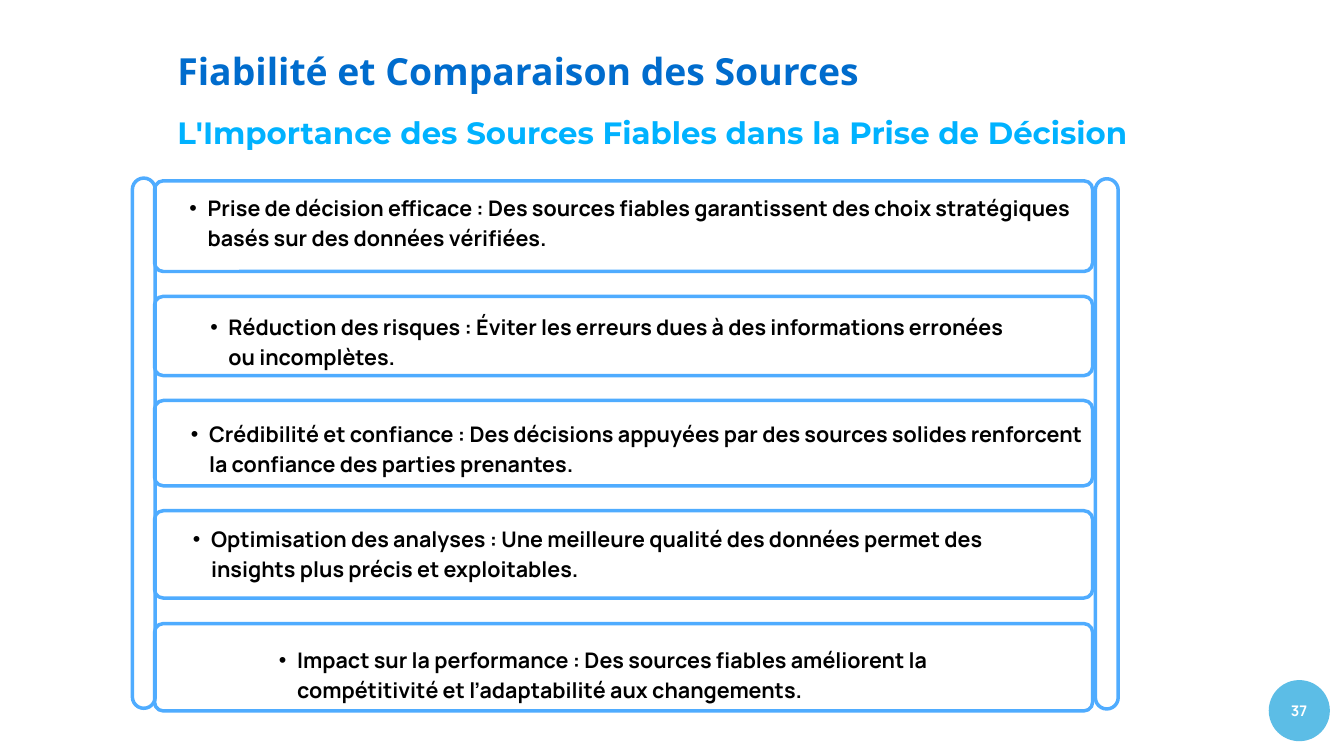
from dataclasses import dataclass

from lxml import etree
from pptx import Presentation
from pptx.dml.color import RGBColor
from pptx.enum.shapes import MSO_SHAPE as Shape
from pptx.enum.text import MSO_ANCHOR as Anchor, PP_ALIGN as Align
from pptx.oxml.ns import qn
from pptx.util import Inches, Pt


@dataclass(frozen=True)
class Theme:
    outline: str = "4FACFF"
    badge: str = "5CBDE6"
    title: dict = None
    subtitle: dict = None
    point: dict = None
    number: dict = None


def style(font, size, color, leading):
    return {"font": font, "size": size, "color": color, "leading": leading}


THEME = Theme(
    title=style("Open Sans", 40, "006CCD", 56),
    subtitle=style("Montserrat", 33, "00B2FF", 29.4),
    point=style("Manrope", 23, "000000", 32.2),
    number=style("Manrope", 15.7, "FFFFFF", 22),
)

PANEL_LEFT, PANEL_WIDTH, PANEL_RADIUS = 2.3, 13.96, 0.13
RAIL_WIDTH, RAIL_HEIGHT = 0.34, 7.89
RAILS = [(1.97, 2.65), (16.3, 2.66)]
POINT_HEIGHT = 0.87

# panel top, panel height, text left, text top, text width, text
POINTS = [
    (2.69, 1.35, 2.55, 2.84, 13.44,
     "Prise de décision efficace : Des sources fiables garantissent des choix "
     "stratégiques basés sur des données vérifiées."),
    (4.41, 1.18, 2.86, 4.61, 12.18,
     "Réduction des risques : Éviter les erreurs dues à des informations "
     "erronées ou incomplètes."),
    (5.96, 1.27, 2.57, 6.2, 13.61,
     "Crédibilité et confiance : Des décisions appuyées par des sources "
     "solides renforcent la confiance des parties prenantes."),
    (7.6, 1.3, 2.6, 7.76, 13.22,
     "Optimisation des analyses : Une meilleure qualité des données permet "
     "des insights plus précis et exploitables."),
    (9.28, 1.3, 3.88, 9.57, 11.03,
     "Impact sur la performance : Des sources fiables améliorent la "
     "compétitivité et l’adaptabilité aux changements."),
]


def rgb(color):
    return RGBColor.from_string(color)


def add_outline(slide, left, top, width, height, radius):
    """Draw an unfilled rounded frame with a fixed corner radius in inches."""
    frame = slide.shapes.add_shape(
        Shape.ROUNDED_RECTANGLE, *map(Inches, (left, top, width, height)))
    frame.adjustments[0] = radius / min(width, height)
    frame.shadow.inherit = False
    frame.fill.background()
    frame.line.color.rgb = rgb(THEME.outline)
    frame.line.width = Pt(3.75)


def add_text(slide, box, text, look, margin=0):
    """Write one bold paragraph and return its text frame."""
    frame = slide.shapes.add_textbox(*map(Inches, box)).text_frame
    frame.word_wrap = True
    for side in ("left", "top", "right", "bottom"):
        setattr(frame, f"margin_{side}", Inches(margin))
    paragraph = frame.paragraphs[0]
    paragraph.line_spacing = Pt(look["leading"])
    run = paragraph.add_run()
    run.text = text
    formats = {"name": look["font"], "size": Pt(look["size"]), "bold": True}
    for name, value in formats.items():
        setattr(run.font, name, value)
    run.font.color.rgb = rgb(look["color"])
    return frame


def add_bullet(paragraph):
    paragraph.level = 1
    properties = paragraph._p.get_or_add_pPr()
    properties.set("marL", str(Inches(0.54)))
    properties.set("indent", str(Inches(-0.27)))
    etree.SubElement(properties, qn("a:buFont")).set("typeface", "Arial")
    etree.SubElement(properties, qn("a:buChar")).set("char", "•")


def add_page_number(slide, number):
    badge = slide.shapes.add_shape(
        Shape.OVAL, *map(Inches, (18.88, 10.12, 0.91, 0.91)))
    badge.shadow.inherit = False
    badge.fill.solid()
    badge.fill.fore_color.rgb = rgb(THEME.badge)
    badge.line.fill.background()
    frame = add_text(slide, (18.96, 10.17, 0.74, 0.78), number,
                     THEME.number, margin=0.06)
    frame.vertical_anchor = Anchor.MIDDLE
    frame.paragraphs[0].alignment = Align.CENTER


def main():
    deck = Presentation()
    deck.slide_width, deck.slide_height = Inches(20), Inches(11.25)
    slide = deck.slides.add_slide(deck.slide_layouts[6])

    for top, height, *_ in POINTS:
        add_outline(slide, PANEL_LEFT, top, PANEL_WIDTH, height, PANEL_RADIUS)
    for left, top in RAILS:
        add_outline(slide, left, top, RAIL_WIDTH, RAIL_HEIGHT, RAIL_WIDTH / 2)

    add_text(slide, (2.64, 0.61, 15.33, 0.74),
             "Fiabilité et Comparaison des Sources", THEME.title)
    add_text(slide, (2.64, 1.83, 14.67, 0.44),
             "L'Importance des Sources Fiables dans la Prise de Décision",
             THEME.subtitle)
    for _, _, left, top, width, text in POINTS:
        frame = add_text(slide, (left, top, width, POINT_HEIGHT), text,
                         THEME.point)
        add_bullet(frame.paragraphs[0])

    add_page_number(slide, "37")
    deck.save("out.pptx")


if __name__ == "__main__":
    main()
